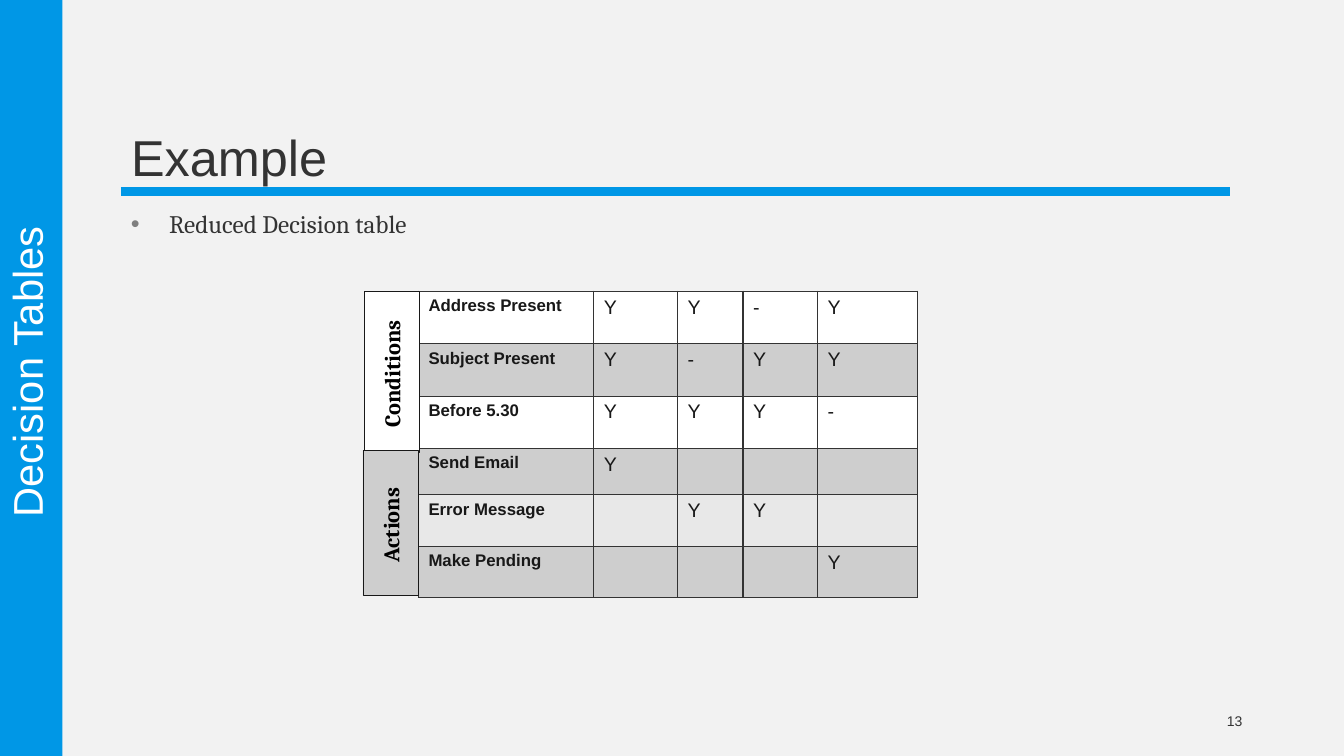
from dataclasses import dataclass

from lxml.etree import SubElement
from pptx import Presentation
from pptx.dml.color import RGBColor
from pptx.enum.shapes import MSO_CONNECTOR as Connector, MSO_SHAPE as Preset
from pptx.enum.text import MSO_ANCHOR as Anchor, MSO_AUTO_SIZE as AutoSize, PP_ALIGN as Align
from pptx.oxml.ns import qn
from pptx.util import Inches, Pt


@dataclass(frozen=True)
class Theme:
    """Colours, fonts and type sizes of the slide."""
    background: str = "F2F2F2"
    accent: str = "0097E6"
    text: str = "333333"
    ink: str = "181818"
    black: str = "000000"
    white: str = "FFFFFF"
    bullet: str = "7F7F7F"
    band: str = "CECECE"
    light_band: str = "E8E8E8"
    sans: str = "Arial"
    serif: str = "Cambria"
    title: float = 36
    section: float = 29.7
    body: float = 18
    label: float = 16
    mark: float = 14
    condition: float = 12
    number: float = 10


THEME = Theme()
COLUMN_WIDTHS = (1.74, 0.83, 0.65, 0.74, 0.99)
DECISIONS = (
    (0.52, THEME.white, ("Address Present", "Y", "Y", "-", "Y")),
    (0.52, THEME.band, ("Subject Present", "Y", "-", "Y", "Y")),
    (0.52, THEME.white, ("Before 5.30", "Y", "Y", "Y", "-")),
    (0.46, THEME.band, ("Send Email", "Y", "", "", "")),
    (0.51, THEME.light_band, ("Error Message", "", "Y", "Y", "")),
    (0.51, THEME.band, ("Make Pending", "", "", "", "Y")),
)


def set_fill(target, color):
    """Give a shape, cell or background a solid fill."""
    target.fill.solid()
    target.fill.fore_color.rgb = RGBColor.from_string(color)


def add_run(paragraph, text, size, color, font=THEME.sans, bold=False):
    """Append a formatted run to a paragraph."""
    run = paragraph.add_run()
    run.text = text
    run.font.name = font
    run.font.size = Pt(size)
    run.font.bold = bold
    run.font.color.rgb = RGBColor.from_string(color)


def add_text_box(slide, box, anchor=Anchor.TOP, align=Align.LEFT, rotation=0):
    """Add a wrapping text box and return its first paragraph."""
    shape = slide.shapes.add_textbox(*map(Inches, box))
    shape.rotation = rotation
    frame = shape.text_frame
    frame.word_wrap = True
    frame.vertical_anchor = anchor
    paragraph = frame.paragraphs[0]
    paragraph.alignment = align
    return paragraph


def add_vertical_text(slide, center, length, thickness, anchor=Anchor.TOP):
    """Add upward-reading text around a centre and return its paragraph."""
    x, y = center
    box = (x - length / 2, y - thickness / 2, length, thickness)
    return add_text_box(slide, box, anchor, Align.CENTER, 270)


def add_rectangle(slide, box, color):
    """Add a flat rectangle without an outline."""
    shape = slide.shapes.add_shape(Preset.RECTANGLE, *map(Inches, box))
    shape.shadow.inherit = False
    set_fill(shape, color)
    shape.line.fill.background()
    return shape


def add_sidebar(slide, box):
    """Draw the section bar with its vertical heading."""
    left, top, width, height = box
    add_rectangle(slide, box, THEME.accent)
    paragraph = add_vertical_text(
        slide, (left + width / 2, top + height / 2 - 0.06), 6.74, 0.5, Anchor.BOTTOM)
    paragraph.line_spacing = 0.85
    add_run(paragraph, "Decision Tables", THEME.section, THEME.white)


def add_title(slide, box):
    """Place the title and the rule under it."""
    left, top, width, height = box
    bottom = top + height
    rule = slide.shapes.add_connector(
        Connector.STRAIGHT, *map(Inches, (left, bottom, left + width, bottom)))
    rule.line.color.rgb = RGBColor.from_string(THEME.accent)
    rule.line.width = Pt(6)
    SubElement(rule._element.spPr, qn("a:effectLst"))

    title = slide.shapes.title
    title.left, title.top, title.width, title.height = map(Inches, box)
    frame = title.text_frame
    frame.auto_size = AutoSize.NONE
    frame.vertical_anchor = Anchor.BOTTOM
    paragraph = frame.paragraphs[0]
    paragraph.alignment = Align.LEFT
    paragraph.line_spacing = 1.61
    add_run(paragraph, "Example", THEME.title, THEME.text)


def add_body(slide, box):
    """Place the bulleted body text."""
    paragraph = add_text_box(slide, box)
    properties = paragraph._p.get_or_add_pPr()
    indent = Inches(0.38)
    properties.set("marL", str(indent))
    properties.set("indent", str(-indent))
    bullet_color = SubElement(properties, qn("a:buClr"))
    SubElement(bullet_color, qn("a:srgbClr"), val=THEME.bullet)
    SubElement(properties, qn("a:buFont"), typeface=THEME.sans)
    SubElement(properties, qn("a:buChar"), char="•")
    add_run(paragraph, "Reduced Decision table", THEME.body, THEME.text, THEME.serif)


def set_borders(cell):
    """Outline a cell on all four sides."""
    properties = cell._tc.get_or_add_tcPr()
    for index, side in enumerate(("a:lnL", "a:lnR", "a:lnT", "a:lnB")):
        line = properties.makeelement(qn(side), {"w": str(Pt(1))})
        color = SubElement(SubElement(line, qn("a:solidFill")), qn("a:srgbClr"))
        color.set("val", THEME.text)
        properties.insert(index, line)


def add_decision_table(slide, box):
    """Build the table of conditions and actions."""
    table = slide.shapes.add_table(
        len(DECISIONS), len(COLUMN_WIDTHS), *map(Inches, box)).table
    for column, width in zip(table.columns, COLUMN_WIDTHS):
        column.width = Inches(width)
    for row, (height, color, texts) in zip(table.rows, DECISIONS):
        row.height = Inches(height)
        for index, (cell, text) in enumerate(zip(row.cells, texts)):
            set_fill(cell, color)
            set_borders(cell)
            if text:
                heading = index == 0
                size = THEME.condition if heading else THEME.mark
                add_run(cell.text_frame.paragraphs[0], text, size, THEME.ink, bold=heading)


def add_group_label(slide, box, text, color):
    """Draw a row-group block with vertical text at its centre."""
    left, top, width, height = box
    block = add_rectangle(slide, box, color)
    block.line.color.rgb = RGBColor.from_string(THEME.ink)
    block.line.width = Pt(0.5)
    center = (left + width / 2, top + height / 2 + 0.02)
    paragraph = add_vertical_text(slide, center, height, 0.37)
    add_run(paragraph, text, THEME.label, THEME.black, THEME.serif, True)


def add_slide_number(slide, box):
    """Place the slide number."""
    paragraph = add_text_box(slide, box, Anchor.MIDDLE, Align.RIGHT)
    add_run(paragraph, "13", THEME.number, THEME.text)


def main():
    """Build and save the presentation."""
    presentation = Presentation()
    presentation.slide_width = Inches(13.33)
    presentation.slide_height = Inches(7.5)
    slide = presentation.slides.add_slide(presentation.slide_layouts[5])
    set_fill(slide.background, THEME.background)
    add_title(slide, (1.2, 0.31, 11, 1.59))
    add_sidebar(slide, (0, 0, 0.62, 7.5))
    add_body(slide, (1.2, 2.02, 11, 4.4))
    add_slide_number(slide, (9.42, 6.95, 3, 0.4))
    add_decision_table(slide, (4.15, 2.89, 4.94, 3.04))
    add_group_label(slide, (3.61, 2.89, 0.55, 1.6), "Conditions", THEME.white)
    add_group_label(slide, (3.6, 4.47, 0.55, 1.44), "Actions", THEME.band)
    presentation.save("out.pptx")


if __name__ == "__main__":
    main()
